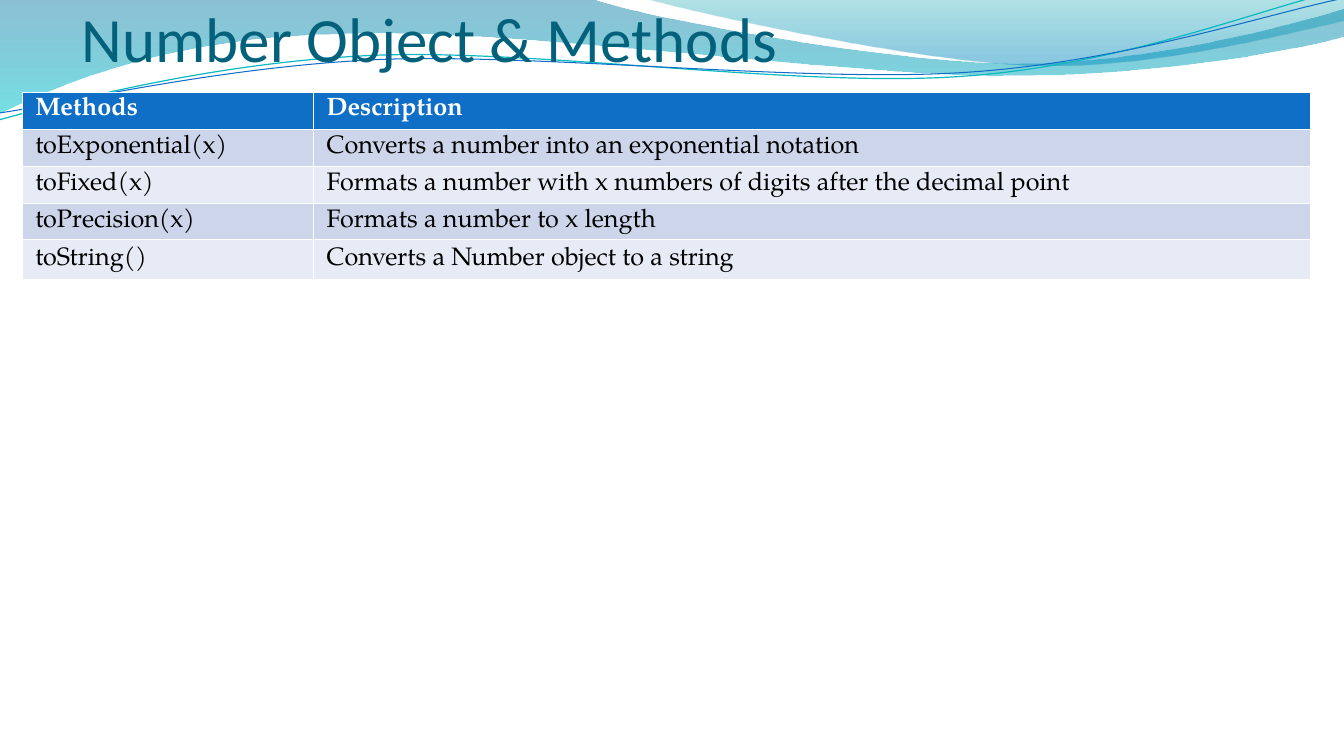
"""Build the Number Object & Methods slide with its wave banner and table."""
import math

from lxml import etree
from pptx import Presentation
from pptx.dml.color import RGBColor
from pptx.enum.text import MSO_ANCHOR, MSO_AUTO_SIZE, PP_ALIGN
from pptx.oxml.ns import qn
from pptx.util import Inches, Pt

TOP, MIDDLE, BOTTOM = MSO_ANCHOR.TOP, MSO_ANCHOR.MIDDLE, MSO_ANCHOR.BOTTOM
LEFT = PP_ALIGN.LEFT
NO_AUTOFIT = MSO_AUTO_SIZE.NONE
WHITE = RGBColor(0xFF, 0xFF, 0xFF)
BLACK = RGBColor(0x00, 0x00, 0x00)
BLUE = RGBColor(0x0F, 0x6F, 0xC6)
TEAL = RGBColor(0x0A, 0xB8, 0xBF)
TITLE_TEAL = RGBColor(0x04, 0x61, 0x7B)
DEEP_BLUE = RGBColor(0x00, 0x74, 0xA1)
CYAN = RGBColor(0x00, 0xC6, 0xCF)
DARK_CYAN = RGBColor(0x00, 0xA1, 0xA9)
SKY_BLUE = RGBColor(0x00, 0x8B, 0xBF)
BAND_DARK = RGBColor(0xCC, 0xD5, 0xEA)
BAND_LIGHT = RGBColor(0xE7, 0xEB, 0xF5)
STRAND_TILT = 2.7

deck = Presentation()
deck.slide_width, deck.slide_height = Inches(13.33), Inches(7.5)
page = deck.slides.add_slide(deck.slide_layouts[5])


def turn(segment, center):
    """Turn the points of a segment clockwise by the strand tilt."""
    angle = math.radians(STRAND_TILT)
    turned = []
    for x, y in zip(segment[::2], segment[1::2]):
        across, down = x - center[0], y - center[1]
        turned += [center[0] + across * math.cos(angle) - down * math.sin(angle),
                   center[1] + across * math.sin(angle) + down * math.cos(angle)]
    return turned


def add_wave(shapes, segments, closed):
    """Draw an outline whose six-number segments are cubic curves."""
    points = [(Inches(x), Inches(y)) for segment in segments
              for x, y in zip(segment[::2], segment[1::2])]
    builder = shapes.build_freeform(*points[0], scale=1.0)
    builder.add_line_segments(points[1:], close=closed)
    wave = builder.convert_to_shape()
    wave.shadow.inherit = False
    steps = iter(list(wave.element.spPr.iter(qn("a:lnTo"))))
    for segment in segments[1:]:
        step = next(steps)
        if len(segment) == 6:
            step_points = [step[0], next(steps)[0], next(steps)[0]]
            curve = etree.Element(qn("a:cubicBezTo"))
            step.addprevious(curve)
            for point in step_points:
                line_step = point.getparent()
                curve.append(point)
                line_step.getparent().remove(line_step)
    return wave


bands = [
    ([(0, 0), (5.87, -0.01), (6.34, 0.17, 8.85, 0.63, 10.11, 0.63),
      (11.38, 0.63, 12.78, 0.26, 13.33, 0.09), (13.35, 0.36),
      (13.11, 0.44, 11.6, 0.76, 9.94, 0.75), (8.29, 0.75, 5.09, 0.28, 3.43, 0.34),
      (1.72, 0.36, 0.61, 0.83, -0.01, 1.13)],
     [(0, DEEP_BLUE, 45), (1, CYAN, 55)]),
    ([(6.39, -0.01), (6.79, 0.11, 9.09, 0.62, 10.25, 0.65),
      (11.41, 0.69, 12.82, 0.32, 13.33, 0.21), (13.33, 0)],
     [(0, DARK_CYAN, 30), (0.8, SKY_BLUE, 45)]),
]
for outline, stops in bands:
    band = add_wave(page.shapes, outline, True)
    band.line.fill.background()
    band.fill.gradient()
    band.fill.gradient_angle = 270
    for stop, (position, color, opacity) in zip(band.fill.gradient_stops, stops):
        stop.position, stop.color.rgb = position, color
    fill_colors = band.element.spPr.iter(qn("a:srgbClr"))
    for fill_color, (position, color, opacity) in zip(fill_colors, stops):
        etree.SubElement(fill_color, qn("a:alpha"), val=str(opacity * 1000))

strands = [
    ([(-0.01, 1.19), (0.64, 1.01, 2.11, 0.62, 3.69, 0.55),
      (5.27, 0.48, 7.9, 0.87, 9.5, 0.76), (11.1, 0.66, 12.52, 0.08, 13.31, -0.1)],
     (6.65, 0.57), TEAL, 0.85),
    ([(0, 1.12), (0.63, 1.03, 2.18, 0.66, 3.78, 0.59),
      (5.37, 0.53, 7.96, 0.82, 9.55, 0.72), (11.15, 0.62, 12.55, 0.14, 13.34, -0.02)],
     (6.67, 0.59), BLUE, 0.75),
]
strand_group = page.shapes.add_group_shape()
for outline, center, color, width in strands:
    strand = add_wave(strand_group.shapes, [turn(segment, center) for segment in outline], False)
    strand.rotation = 360 - STRAND_TILT
    strand.fill.background()
    strand.line.color.rgb, strand.line.width = color, Pt(width)

title = page.shapes.title
title.element.getparent().append(title.element)
title.left, title.top, title.width, title.height = (Inches(v) for v in (0.67, 0, 12, 0.75))
frame = title.text_frame
frame.text = " Number Object & Methods"
frame_format = {"margin_left": 0, "margin_top": Inches(0.05), "margin_right": 0,
                "margin_bottom": 0, "vertical_anchor": BOTTOM, "word_wrap": True,
                "auto_size": NO_AUTOFIT}
for name, value in frame_format.items():
    setattr(frame, name, value)
para = frame.paragraphs[0]
para.alignment = LEFT
para.font.size, para.font.name, para.font.color.rgb = Pt(45), "Calibri", TITLE_TEAL

methods = [
    ("Methods", "Description"),
    ("toExponential(x)", "Converts a number into an exponential notation"),
    ("toFixed(x)", "Formats a number with x numbers of digits after the decimal point"),
    ("toPrecision(x)", "Formats a number to x length"),
    ("toString()", "Converts a Number object to a string"),
]
column_widths = (2.89, 9.89)
row_points = (26.3, 26.3, 26.3, 26.3, 28.5)
table_box = page.shapes.add_table(len(methods), len(column_widths), Inches(0.22), Inches(0.92),
                                  Inches(sum(column_widths)), Inches(2))
table = table_box.table
for column, width in zip(table.columns, column_widths):
    column.width = Inches(width)
for row_index, (row, height, texts) in enumerate(zip(table.rows, row_points, methods)):
    row.height = Pt(height)
    header = row_index == 0
    band_color = BAND_DARK if row_index % 2 else BAND_LIGHT
    cell_format = {"margin_left": Inches(0.13), "margin_right": Inches(0.13),
                   "margin_top": Inches(0.05), "margin_bottom": Inches(0.05),
                   "vertical_anchor": TOP if header else MIDDLE}
    font_format = {"size": Pt(18), "name": "TeX Gyre Pagella", "bold": header}
    for cell, text in zip(row.cells, texts):
        cell.text = text
        for name, value in cell_format.items():
            setattr(cell, name, value)
        cell.fill.solid()
        cell.fill.fore_color.rgb = BLUE if header else band_color
        font = cell.text_frame.paragraphs[0].font
        for name, value in font_format.items():
            setattr(font, name, value)
        font.color.rgb = WHITE if header else BLACK
table_box.height = Inches(2)

deck.save("out.pptx")
